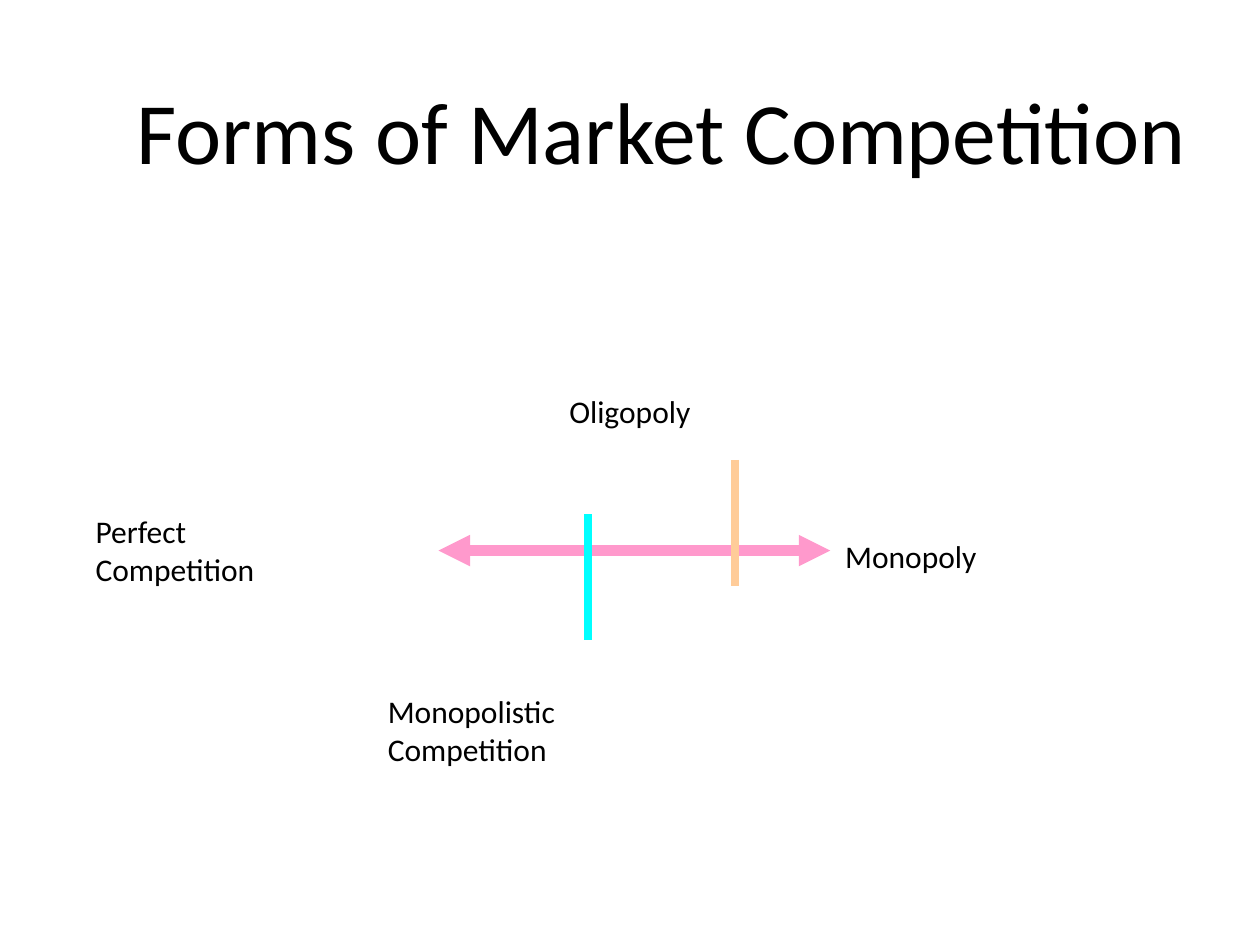
from dataclasses import dataclass

from lxml import etree
from pptx import Presentation
from pptx.dml.color import RGBColor
from pptx.enum.shapes import MSO_CONNECTOR
from pptx.enum.text import MSO_ANCHOR, PP_ALIGN
from pptx.oxml.ns import qn
from pptx.util import Inches, Pt

LINE = MSO_CONNECTOR.STRAIGHT
MIDDLE = MSO_ANCHOR.MIDDLE
LEFT, CENTER = PP_ALIGN.LEFT, PP_ALIGN.CENTER


@dataclass(frozen=True)
class Theme:
    font: str = "Calibri"
    ink: str = "000000"
    axis: str = "FF99CC"
    warm: str = "FFCC99"
    cool: str = "00FFFF"
    title: float = 50
    label: float = 18
    thick: float = 6
    thin: float = 4.5


THEME = Theme()


def add_text(slide, box, text, size, align=LEFT):
    shape = slide.shapes.add_textbox(*map(Inches, box))
    frame = shape.text_frame
    frame.word_wrap = True
    frame.vertical_anchor = MIDDLE
    frame.text = text
    for para in frame.paragraphs:
        para.alignment = align
        for run in para.runs:
            run.font.name = THEME.font
            run.font.size = Pt(size)
            run.font.color.rgb = RGBColor.from_string(THEME.ink)


def add_line(slide, start, end, color, width, arrows=False):
    line = slide.shapes.add_connector(LINE, *map(Inches, start + end))
    line.line.color.rgb = RGBColor.from_string(color)
    line.line.width = Pt(width)
    props = line.line._get_or_add_ln()
    if arrows:
        for tag in ("a:headEnd", "a:tailEnd"):
            etree.SubElement(props, qn(tag), type="triangle")
    etree.SubElement(line._element.spPr, qn("a:effectLst"))


def add_title(slide, box):
    add_text(slide, box, "Forms of Market Competition", THEME.title, CENTER)


def add_scale(slide, box):
    left, top, width, height = box
    mid = top + 1.49
    add_line(slide, (left + 2.82, mid), (left + 5.93, mid),
             THEME.axis, THEME.thick, True)
    ticks = [(5.17, 0.77, THEME.warm), (4.01, 1.2, THEME.cool)]
    for x, y, color in ticks:
        add_line(slide, (left + x, top + y), (left + x, top + y + 1),
                 color, THEME.thin)
    low = 1.43
    labels = [
        ("Perfect\nCompetition", 0, 0.77, 3.48, low),
        ("Monopoly", 5.95, 1.15, width - 5.95, 0.77),
        ("Monopolistic\nCompetition", 2.32, height - low, 3.63, low),
        ("Oligopoly", 3.76, 0, 2.76, 0.77),
    ]
    for text, x, y, wide, high in labels:
        add_text(slide, (left + x, top + y, wide, high), text, THEME.label)


def main():
    deck = Presentation()
    deck.slide_width, deck.slide_height = Inches(10), Inches(7.5)
    slide = deck.slides.add_slide(deck.slide_layouts[6])
    add_title(slide, (0.75, 0.42, 9, 1.21))
    add_scale(slide, (0.66, 2.88, 8.75, 3.63))
    deck.save("out.pptx")


if __name__ == "__main__":
    main()
